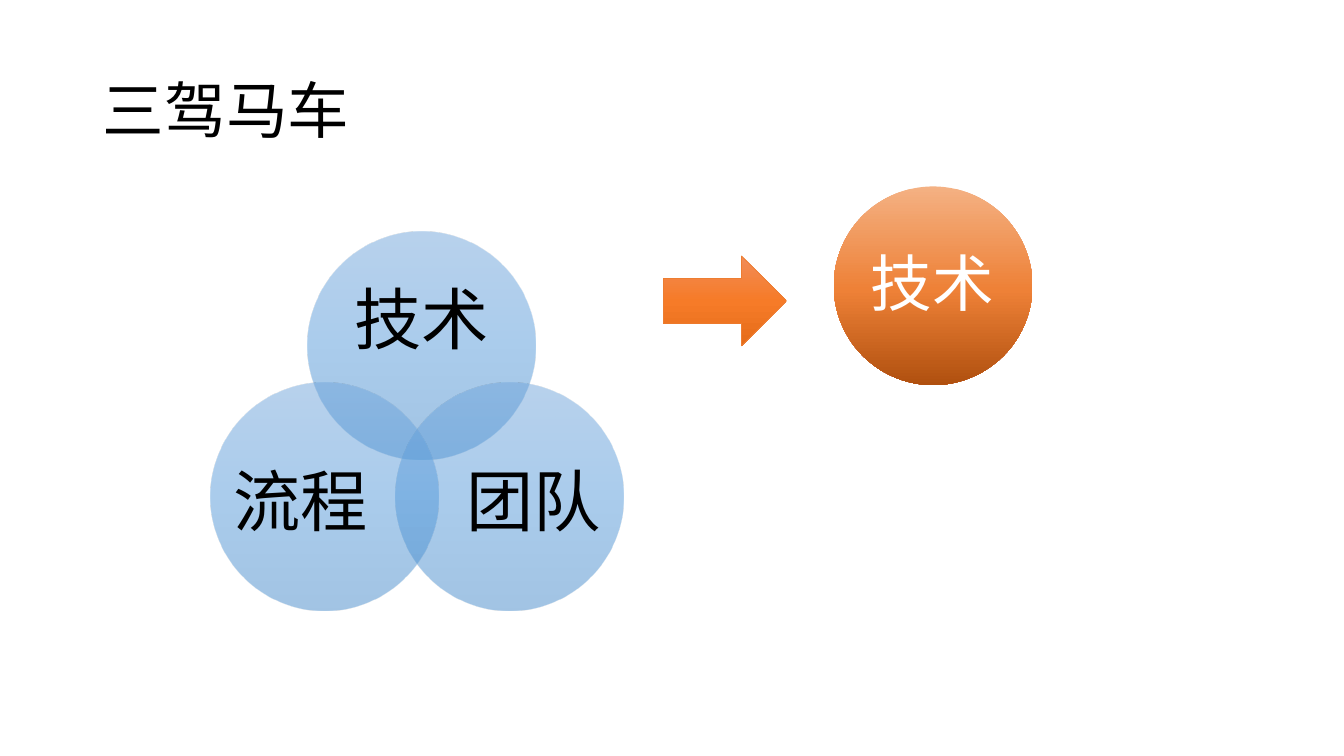
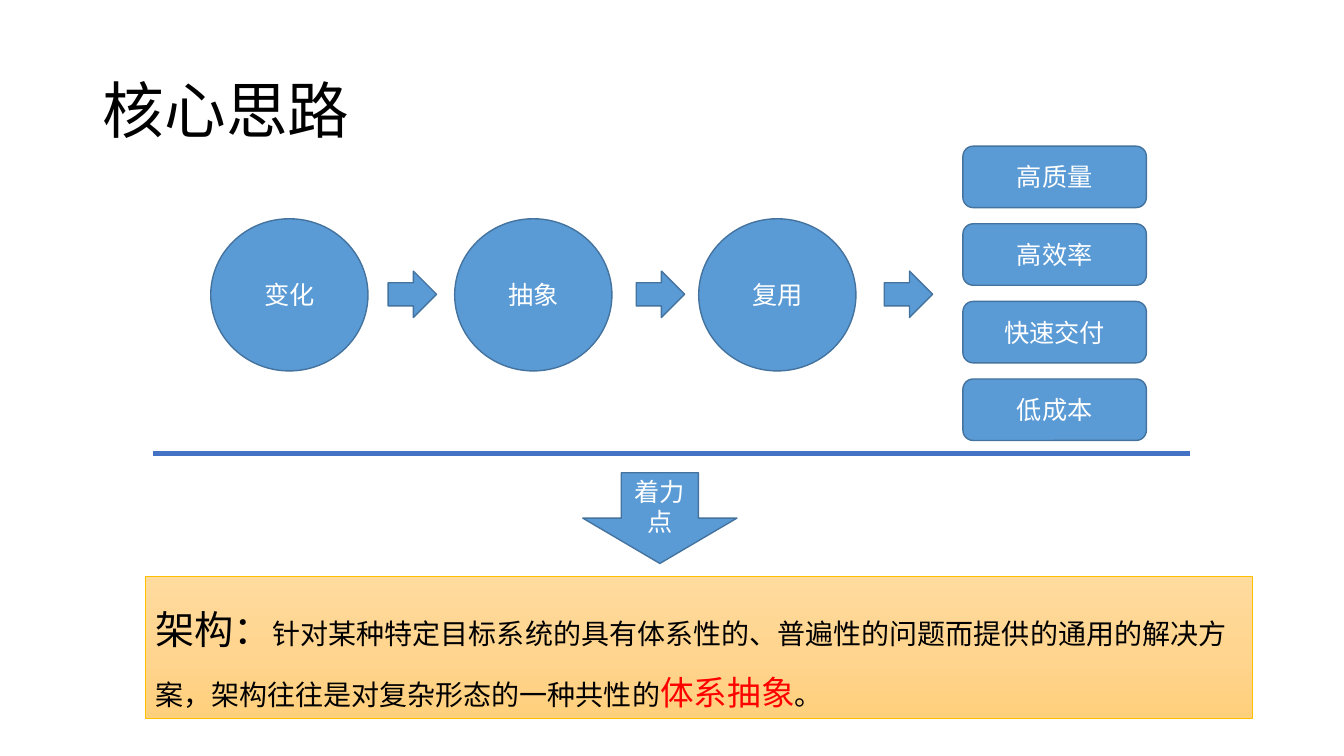
from dataclasses import dataclass

from lxml import etree
from pptx import Presentation
from pptx.dml.color import RGBColor
from pptx.enum.shapes import MSO_CONNECTOR, MSO_SHAPE
from pptx.enum.text import MSO_ANCHOR, MSO_AUTO_SIZE, PP_ALIGN
from pptx.oxml.ns import qn
from pptx.util import Pt

PX = 9144  # 100 px to the inch


@dataclass(frozen=True)
class Theme:
    font: str = "Noto Sans CJK SC"
    black: str = "000000"
    white: str = "FFFFFF"
    red: str = "FF0000"
    blue: str = "5B9BD5"
    blue_edge: str = "43739E"
    divider: str = "4472C4"
    orange: str = "ED7D31"
    gold: str = "FFC000"
    venn_stops: tuple = ((0, "71A6DB"), (50, "559BDB"), (100, "448ACA"))
    arrow_stops: tuple = ((0, "F18C57"), (50, "F67B28"), (100, "E56C19"))
    focus_stops: tuple = ((0, "F4B183"), (52, "EE8137"), (100, "B0500F"))
    panel_stops: tuple = ((0, "FFDB9E"), (50, "FFD590"), (100, "FFD07C"))
    title_size: int = 44
    venn_size: int = 48
    lead_size: int = 28
    key_size: int = 24
    body_size: int = 20
    label_size: int = 18


THEME = Theme()


def px(*lengths):
    return [length * PX for length in lengths]


def rgb(color):
    return RGBColor.from_string(color)


def style_paragraph(paragraph, size, color, align=PP_ALIGN.CENTER, spacing=1.0):
    paragraph.alignment = align
    paragraph.line_spacing = spacing
    font = paragraph.font
    font.name = THEME.font
    font.size = Pt(size)
    font.color.rgb = rgb(color)
    defaults = paragraph._p.pPr.find(qn("a:defRPr"))
    etree.SubElement(defaults, qn("a:ea"), typeface=THEME.font)


def fill_gradient(shape, stops, opacity=100):
    """Fill from top to bottom with (percent, colour) stops."""
    shape.fill.gradient()
    shape.fill.gradient_angle = 270
    stop_list = shape._element.spPr.find(qn("a:gradFill")).find(qn("a:gsLst"))
    for old_stop in list(stop_list):
        stop_list.remove(old_stop)
    for percent, color in stops:
        stop = etree.SubElement(stop_list, qn("a:gs"), pos=str(percent * 1000))
        tint = etree.SubElement(stop, qn("a:srgbClr"), val=color)
        if opacity < 100:
            etree.SubElement(tint, qn("a:alpha"), val=str(opacity * 1000))


def add_figure(shapes, kind, box, fill, edge=None, edge_width=0.5, opacity=100):
    """Add a preset shape; fill is one colour or a tuple of gradient stops."""
    figure = shapes.add_shape(kind, *px(*box))
    figure.shadow.inherit = False
    if isinstance(fill, str):
        figure.fill.solid()
        figure.fill.fore_color.rgb = rgb(fill)
    else:
        fill_gradient(figure, fill, opacity)
    if edge:
        figure.line.color.rgb = rgb(edge)
        figure.line.width = Pt(edge_width)
    else:
        figure.line.fill.background()
    return figure


def add_blue_figure(slide, kind, box, text=""):
    figure = add_figure(slide.shapes, kind, box, THEME.blue, THEME.blue_edge, 1)
    if text:
        frame = figure.text_frame
        frame.word_wrap = True
        frame.vertical_anchor = MSO_ANCHOR.MIDDLE
        frame.text = text
        style_paragraph(frame.paragraphs[0], THEME.label_size, THEME.white)


def add_caption(shapes, box, text, size, color):
    frame = shapes.add_textbox(*px(*box)).text_frame
    frame.margin_left = frame.margin_right = 0
    frame.margin_top = frame.margin_bottom = 0
    frame.word_wrap = True
    frame.vertical_anchor = MSO_ANCHOR.MIDDLE
    frame.text = text
    style_paragraph(frame.paragraphs[0], size, color, spacing=0.9)


def add_divider(slide, left, right, y):
    divider = slide.shapes.add_connector(MSO_CONNECTOR.STRAIGHT, *px(left, y, right, y))
    divider.line.color.rgb = rgb(THEME.divider)
    divider.line.width = Pt(3)
    etree.SubElement(divider._element.spPr, qn("a:effectLst"))


def add_definition(slide, box, phrases):
    """Add the gold panel; phrases are (text, size, colour)."""
    panel = add_figure(slide.shapes, MSO_SHAPE.RECTANGLE, box, THEME.panel_stops, THEME.gold)
    frame = panel.text_frame
    frame.word_wrap = True
    frame.vertical_anchor = MSO_ANCHOR.TOP
    paragraph = frame.paragraphs[0]
    style_paragraph(paragraph, THEME.body_size, THEME.black, PP_ALIGN.LEFT, 1.5)
    for text, size, color in phrases:
        run = paragraph.add_run()
        run.text = text
        run.font.size = Pt(size)
        run.font.color.rgb = rgb(color)


def add_titled_slide(prs, text):
    slide = prs.slides.add_slide(prs.slide_layouts[5])
    title = slide.shapes.title
    title.left, title.top, title.width, title.height = px(92, 40, 1150, 145)
    frame = title.text_frame
    frame.text = text
    frame.auto_size = MSO_AUTO_SIZE.NONE
    frame.vertical_anchor = MSO_ANCHOR.MIDDLE
    style_paragraph(frame.paragraphs[0], THEME.title_size, THEME.black, PP_ALIGN.LEFT, 0.9)
    return slide


def build_three_drivers(prs):
    slide = add_titled_slide(prs, "三驾马车")
    venn = slide.shapes.add_group_shape().shapes
    for text, left, top, caption_box in (
        ("技术", 305, 230, (335, 269, 166, 102)),
        ("团队", 392, 380, (461, 439, 136, 124)),
        ("流程", 209, 380, (230, 439, 136, 124)),
    ):
        add_figure(venn, MSO_SHAPE.OVAL, (left, top, 226, 226), THEME.venn_stops, opacity=50)
        add_caption(venn, caption_box, text, THEME.venn_size, THEME.black)

    add_figure(slide.shapes, MSO_SHAPE.RIGHT_ARROW, (658, 254, 122, 89),
               THEME.arrow_stops, THEME.orange)
    focus = slide.shapes.add_group_shape().shapes
    add_figure(focus, MSO_SHAPE.OVAL, (827, 185, 197, 197), THEME.focus_stops)
    add_caption(focus, (853, 240, 144, 89), "技术", THEME.title_size, THEME.white)


def build_core_idea(prs):
    slide = add_titled_slide(prs, "核心思路")
    add_definition(slide, (144, 572, 1098, 141), (
        ("架构：", THEME.lead_size, THEME.black),
        ("针对某种特定目标系统的具有体系性的、普遍性的问题而提供的通用的解决方案，"
         "架构往往是对复杂形态的一种共性的", THEME.body_size, THEME.black),
        ("体系抽象", THEME.key_size, THEME.red),
        ("。", THEME.body_size, THEME.black),
    ))
    for i, step in enumerate(("变化", "抽象", "复用")):
        add_blue_figure(slide, MSO_SHAPE.OVAL, (209 + 242 * i, 217, 156, 151), step)
        add_blue_figure(slide, MSO_SHAPE.RIGHT_ARROW, (385 + 246 * i, 269, 48, 46))
    for i, benefit in enumerate(("高质量", "高效率", "快速交付", "低成本")):
        add_blue_figure(slide, MSO_SHAPE.ROUNDED_RECTANGLE,
                        (955, 145 + 77 * i, 182, 61), benefit)
    add_divider(slide, 152, 1180, 450)
    add_blue_figure(slide, MSO_SHAPE.DOWN_ARROW, (578, 469, 153, 90), "着力点")


def main():
    prs = Presentation()
    prs.slide_width, prs.slide_height = px(1333, 750)
    build_three_drivers(prs)
    build_core_idea(prs)
    prs.save("out.pptx")


if __name__ == "__main__":
    main()
